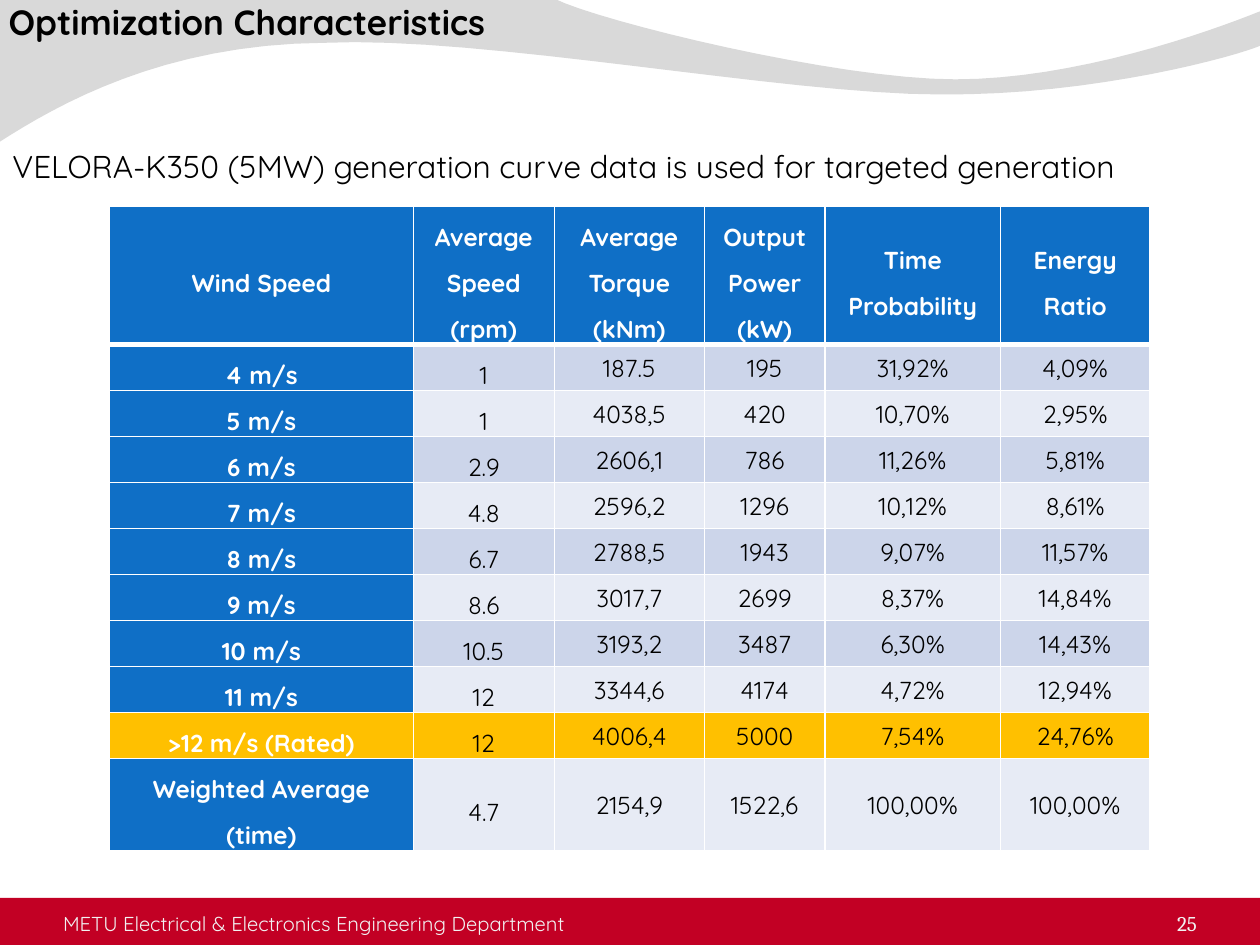
from lxml.etree import SubElement
from pptx import Presentation
from pptx.dml.color import RGBColor
from pptx.enum.shapes import MSO_SHAPE
from pptx.enum.text import MSO_ANCHOR as Anchor, PP_ALIGN as Align
from pptx.oxml.ns import qn
from pptx.util import Inches, Pt

WIDTH, HEIGHT = Inches(10), Inches(7.5)
FOOTER_TOP = 0.95
FONT = "Quicksand"

BLACK = RGBColor(0, 0, 0)
WHITE = RGBColor(0xFF, 0xFF, 0xFF)
PALE = RGBColor(0xF2, 0xF2, 0xF2)
GREY = RGBColor(0xD9, 0xD9, 0xD9)
RED = RGBColor(0xC2, 0x00, 0x24)
BLUE = RGBColor(0x0F, 0x6F, 0xC6)
GOLD = RGBColor(0xFF, 0xC0, 0x00)
BANDS = (RGBColor(0xCC, 0xD5, 0xEA), RGBColor(0xE7, 0xEB, 0xF5))

WAVE_START = (0, -0.01)
WAVE = [
    [(4.4, -0.01)],
    [(4.76, 0.17), (6.64, 0.63), (7.58, 0.63)],
    [(8.53, 0.63), (9.58, 0.26), (10, 0.09)],
    [(10.01, 0.36)],
    [(9.83, 0.44), (8.7, 0.76), (7.46, 0.75)],
    [(6.22, 0.75), (3.82, 0.28), (2.57, 0.34)],
    [(1.29, 0.35), (0.46, 0.83), (-0.01, 1.13)],
]

TABLE_HEIGHT = Inches(5.11)
COLUMN_WIDTHS = (2.41, 1.12, 1.19, 0.96, 1.39, 1.19)
ROW_LINES = (3, *[1] * 9, 2)
RATED_ROW = 9
ROWS = [
    ("Wind Speed", "Average Speed (rpm)", "Average Torque (kNm)",
     "Output Power (kW)", "Time Probability", "Energy Ratio"),
    ("4 m/s", "1", "187.5", "195", "31,92%", "4,09%"),
    ("5 m/s", "1", "4038,5", "420", "10,70%", "2,95%"),
    ("6 m/s", "2.9", "2606,1", "786", "11,26%", "5,81%"),
    ("7 m/s", "4.8", "2596,2", "1296", "10,12%", "8,61%"),
    ("8 m/s", "6.7", "2788,5", "1943", "9,07%", "11,57%"),
    ("9 m/s", "8.6", "3017,7", "2699", "8,37%", "14,84%"),
    ("10 m/s", "10.5", "3193,2", "3487", "6,30%", "14,43%"),
    ("11 m/s", "12", "3344,6", "4174", "4,72%", "12,94%"),
    (">12 m/s (Rated)", "12", "4006,4", "5000", "7,54%", "24,76%"),
    ("Weighted Average (time)", "4.7", "2154,9", "1522,6", "100,00%", "100,00%"),
]


def place(left, top, width, height):
    """Turn shares of the slide into a position and a size."""
    return (int(left * WIDTH), int(top * HEIGHT),
            int(width * WIDTH), int(height * HEIGHT))


def finish(shape, color):
    """Give a shape a plain fill without line or shadow."""
    shape.shadow.inherit = False
    shape.fill.solid()
    shape.fill.fore_color.rgb = color
    shape.line.fill.background()


def write(frame, text, size, color, bold=False, align=Align.LEFT, font=FONT):
    """Write one run into the first paragraph of a frame and return the paragraph."""
    para = frame.paragraphs[0]
    para.alignment = align
    span = para.add_run()
    span.text = text
    span.font.name = font
    span.font.size = Pt(size)
    span.font.bold = bold
    span.font.color.rgb = color
    return para


def add_text(page, area, text, size, color, insets=(0, 0, 0, 0),
             anchor=Anchor.TOP, **style):
    """Add a wrapped text box with insets in inches."""
    frame = page.shapes.add_textbox(*place(*area)).text_frame
    frame.word_wrap = True
    frame.vertical_anchor = anchor
    (frame.margin_left, frame.margin_top,
     frame.margin_right, frame.margin_bottom) = map(Inches, insets)
    write(frame, text, size, color, **style)


def curve_points(start, controls, steps=16):
    """Sample a cubic curve after its starting point."""
    for step in range(1, steps + 1):
        t = step / steps
        weights = ((1 - t) ** 3, 3 * t * (1 - t) ** 2, 3 * t * t * (1 - t), t ** 3)
        yield tuple(sum(weight * point[axis]
                        for weight, point in zip(weights, (start, *controls)))
                    for axis in (0, 1))


def add_wave(page):
    """Draw the grey wave across the top of the slide."""
    points = [WAVE_START]
    for piece in WAVE:
        points += piece if len(piece) == 1 else curve_points(points[-1], piece)
    corners = [(Inches(x), Inches(y)) for x, y in points]
    builder = page.shapes.build_freeform(*corners[0])
    builder.add_line_segments(corners[1:], close=True)
    finish(builder.convert_to_shape(), GREY)


def add_footer(page):
    """Draw the red bar with the department and the page number."""
    bar = page.shapes.add_shape(
        MSO_SHAPE.RECTANGLE, *place(0, FOOTER_TOP, 1, 1 - FOOTER_TOP))
    finish(bar, RED)
    add_text(page, (0.887, FOOTER_TOP, 0.063, 0.04), "25", 12, PALE,
             anchor=Anchor.BOTTOM, align=Align.RIGHT, font="Cambria")
    add_text(page, (0.05, FOOTER_TOP, 0.438, 0.04),
             "METU Electrical & Electronics Engineering Department", 11.5, PALE,
             anchor=Anchor.BOTTOM)


def set_borders(cell, top, bottom):
    """Give a cell white borders, with top and bottom widths in points."""
    properties = cell._tc.get_or_add_tcPr()
    for side, width in (("L", 1), ("R", 1), ("T", top), ("B", bottom)):
        line = SubElement(properties, qn(f"a:ln{side}"), w=str(Pt(width)))
        fill = SubElement(line, qn("a:solidFill"))
        SubElement(fill, qn("a:srgbClr"), val=str(WHITE))


def cell_color(row, column):
    """Choose the fill of a cell from its place in the table."""
    if row == RATED_ROW:
        return GOLD
    if row == 0 or column == 0:
        return BLUE
    return BANDS[(row - 1) % 2] if row < RATED_ROW else BANDS[1]


def fill_cell(cell, row, column, text):
    """Style one cell and write its text."""
    heading = row == 0 or column == 0
    set_borders(cell, 3 if row == 1 else 1, 3 if row == 0 else 1)
    cell.fill.solid()
    cell.fill.fore_color.rgb = cell_color(row, column)
    cell.vertical_anchor = Anchor.MIDDLE
    cell.margin_left = cell.margin_right = Inches(0.07)
    cell.margin_top = cell.margin_bottom = 0
    para = write(cell.text_frame, text, 14, WHITE if heading else BLACK,
                 bold=heading, align=Align.CENTER)
    para.line_spacing = 1.5 if heading or column == 1 else 1.07


def add_speed_table(page):
    """Add the table of generation data by wind speed."""
    table = page.shapes.add_table(
        len(ROWS), len(COLUMN_WIDTHS), Inches(0.87), Inches(1.64),
        Inches(sum(COLUMN_WIDTHS)), TABLE_HEIGHT).table
    table.horz_banding = False
    for column, width in zip(table.columns, COLUMN_WIDTHS):
        column.width = Inches(width)
    for band, lines in zip(table.rows, ROW_LINES):
        band.height = TABLE_HEIGHT * lines // sum(ROW_LINES)
    for row, texts in enumerate(ROWS):
        for column, text in enumerate(texts):
            fill_cell(table.cell(row, column), row, column, text)


def main():
    """Build the slide and save the deck."""
    deck = Presentation()
    deck.slide_width, deck.slide_height = WIDTH, HEIGHT
    page = deck.slides.add_slide(deck.slide_layouts[6])
    insets = (0.1, 0, 0.1, 0.05)
    add_wave(page)
    add_text(page, (0, 0.156, 1, 0.11),
             "VELORA-K350 (5MW) generation curve data is used for targeted generation",
             18, BLACK, insets)
    add_footer(page)
    add_text(page, (-0.003, 0, 0.85, 0.058), "Optimization Characteristics",
             20, BLACK, insets, bold=True, align=Align.JUSTIFY)
    add_speed_table(page)
    deck.save("out.pptx")


if __name__ == "__main__":
    main()
